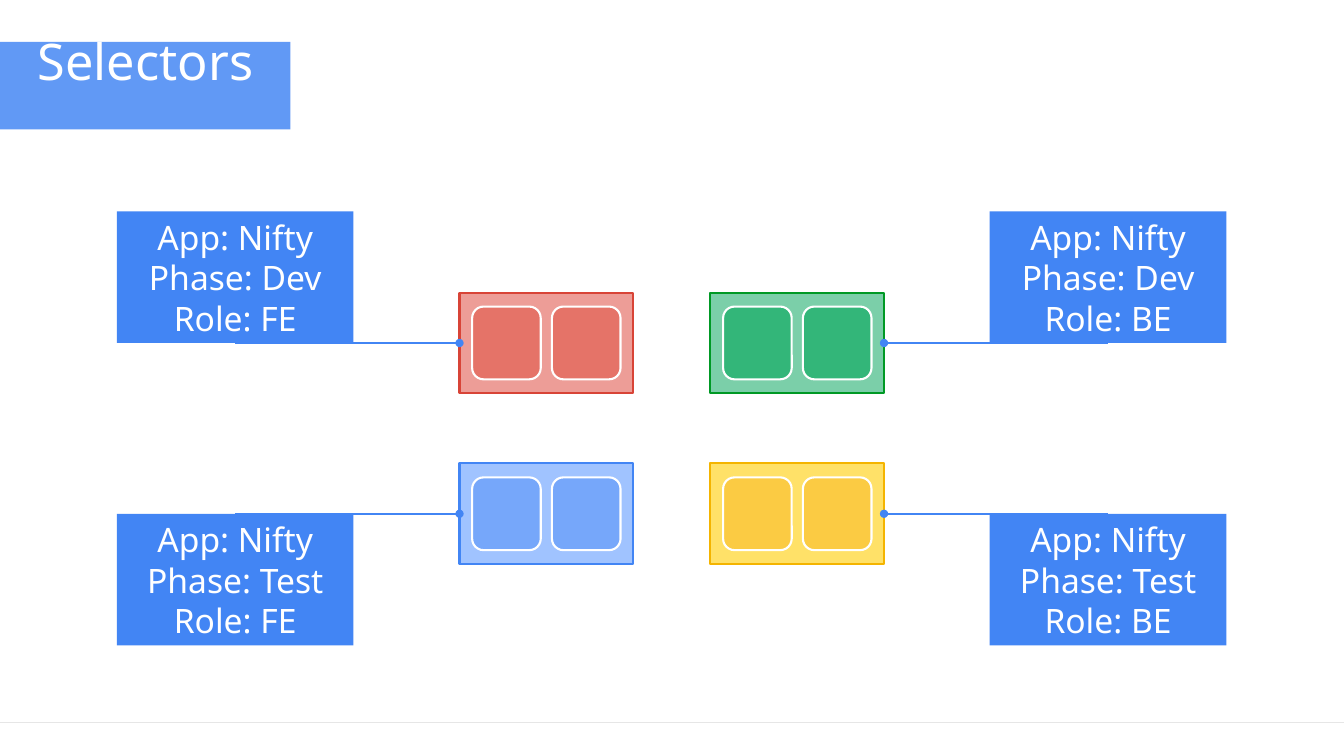
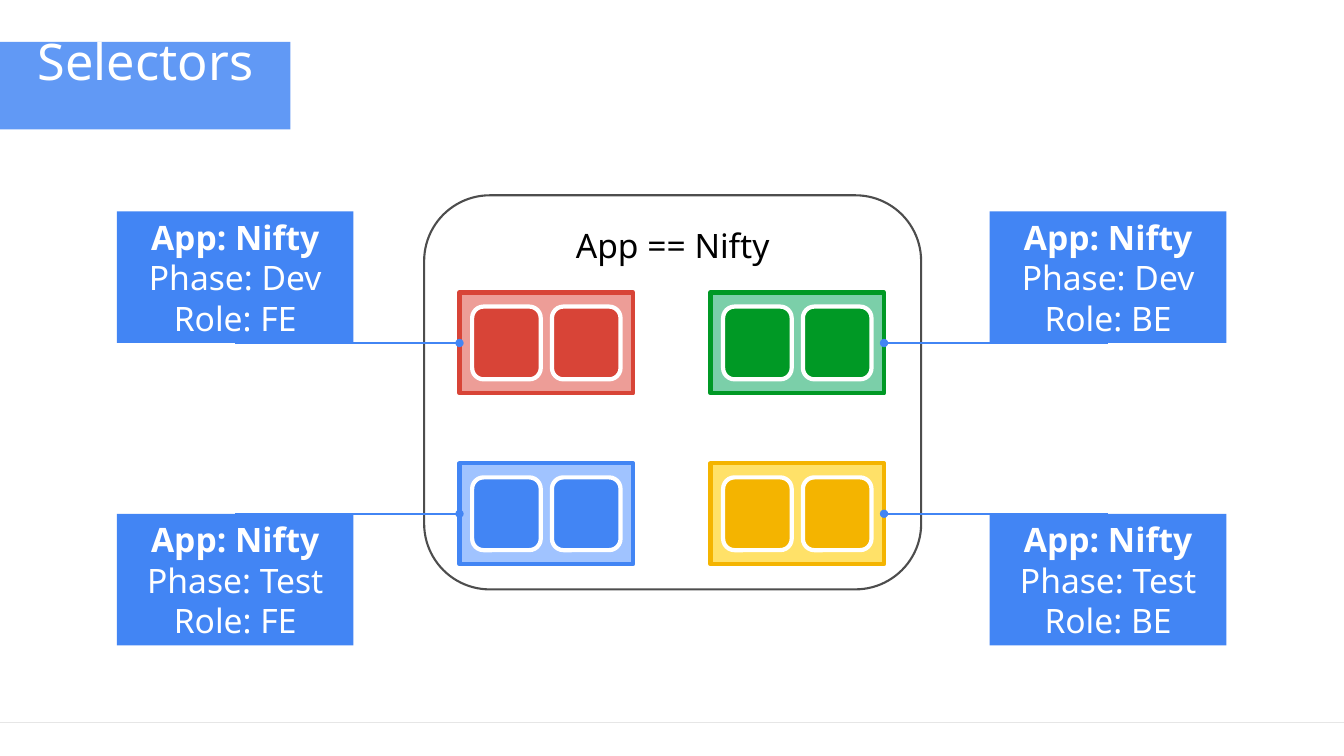
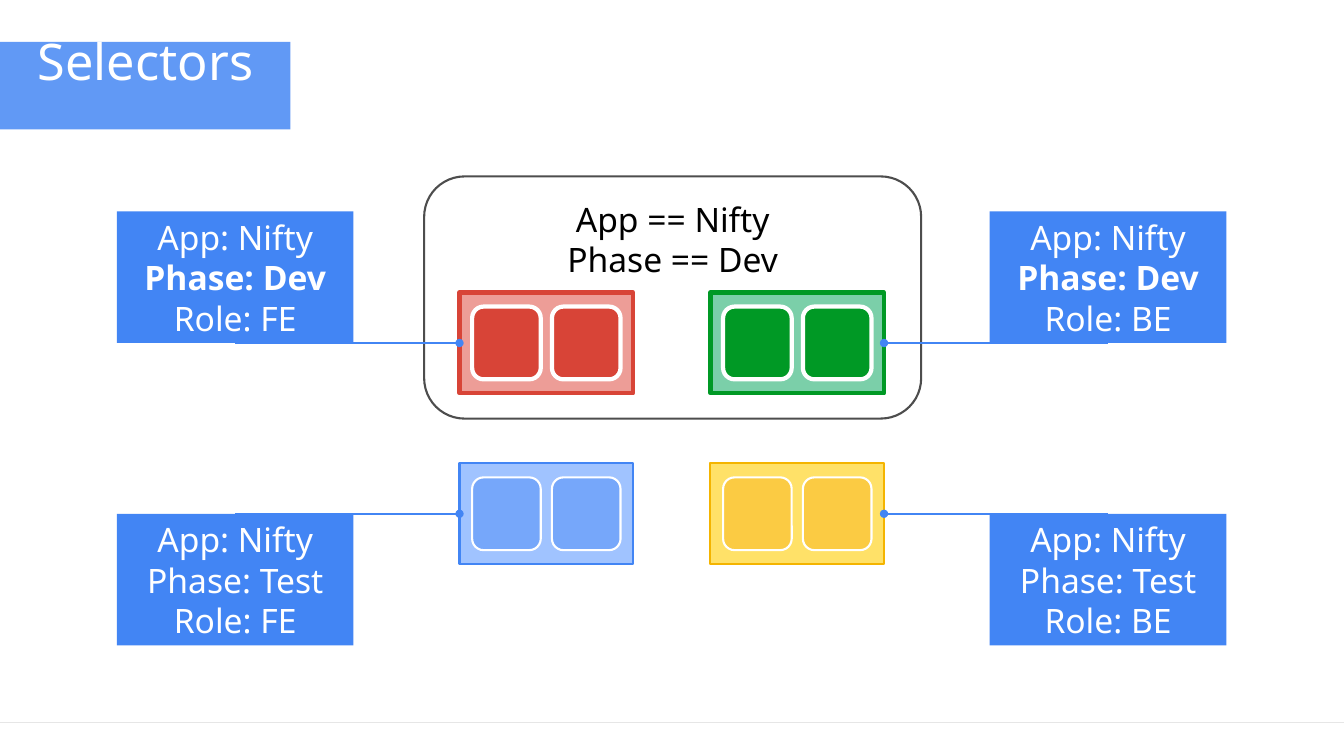
"""Build three slides on selecting services by their labels."""
from lxml.etree import SubElement
from pptx import Presentation
from pptx.dml.color import RGBColor
from pptx.enum.shapes import MSO_CONNECTOR, MSO_SHAPE
from pptx.enum.text import MSO_ANCHOR, MSO_AUTO_SIZE, PP_ALIGN
from pptx.oxml.ns import qn
from pptx.util import Pt

FONT = "Noto Sans"
COLORS = {"blue": "4285F4", "white": "FFFFFF", "black": "000000",
          "frame": "4D4D4D", "rule": "E6E6E6"}
TITLE = "Selectors"

SERVICES = [
    {"column": 0, "row": 0, "labels": {"App": "Nifty", "Phase": "Dev", "Role": "FE"},
     "back": "ED9D97", "strong": "D84437", "soft": "E57368"},
    {"column": 1, "row": 0, "labels": {"App": "Nifty", "Phase": "Dev", "Role": "BE"},
     "back": "7BCFA9", "strong": "009925", "soft": "33B679"},
    {"column": 0, "row": 1, "labels": {"App": "Nifty", "Phase": "Test", "Role": "FE"},
     "back": "A0C3FF", "strong": "4285F4", "soft": "76A7FA"},
    {"column": 1, "row": 1, "labels": {"App": "Nifty", "Phase": "Test", "Role": "BE"},
     "back": "FFE168", "strong": "F4B400", "soft": "FBCB43"},
]
SELECTORS = [
    {"clauses": {}},
    {"clauses": {"App": "Nifty"}, "top": 139.5, "height": 281.5},
    {"clauses": {"App": "Nifty", "Phase": "Dev"}, "top": 126, "height": 173},
]

SLIDE_W, SLIDE_H = 960, 540
RULE_Y = 516
BAND = (0, 30, 207.5, 62.5)
FRAME_X, FRAME_W = 303, 355
ROW_MIDDLES = (245, 367)
SERVICE_LEFTS, SERVICE_W, SERVICE_H = (328.25, 507.5), 124, 72
POD_W, POD_H, POD_STEP = 49, 52, 57
LABEL_LEFTS, LABEL_W, LABEL_H = (83.5, 707), 169, 94


def rgb(color):
    return RGBColor.from_string(color)


def add_box(shapes, kind, box, fill=None, line=None, width=1.5):
    shape = shapes.add_shape(kind, *map(Pt, box))
    shape.shadow.inherit = False
    if fill:
        shape.fill.solid()
        shape.fill.fore_color.rgb = rgb(fill)
    else:
        shape.fill.background()
    if line:
        shape.line.color.rgb = rgb(line)
        shape.line.width = Pt(width)
    else:
        shape.line.fill.background()
    return shape


def style_frame(frame, anchor, left, top, right, bottom):
    frame.word_wrap = True
    frame.auto_size = MSO_AUTO_SIZE.NONE
    frame.vertical_anchor = anchor
    frame.margin_left, frame.margin_top = Pt(left), Pt(top)
    frame.margin_right, frame.margin_bottom = Pt(right), Pt(bottom)


def write_lines(frame, lines, size, spacing, color, align):
    for index, (text, bold) in enumerate(lines):
        paragraph = frame.add_paragraph() if index else frame.paragraphs[0]
        paragraph.alignment = align
        paragraph.line_spacing = Pt(spacing)
        run = paragraph.add_run()
        run.text = text
        run.font.name, run.font.size, run.font.bold = FONT, Pt(size), bold
        run.font.color.rgb = rgb(color)


def add_line(slide, start, end, color, width):
    line = slide.shapes.add_connector(MSO_CONNECTOR.STRAIGHT, *map(Pt, start + end))
    line.line.color.rgb = rgb(color)
    line.line.width = Pt(width)
    SubElement(line.element.spPr, qn("a:effectLst"))
    return line


def add_title(slide):
    title = slide.shapes.title
    title.left, title.top, title.width, title.height = map(Pt, BAND)
    title.fill.solid()
    title.fill.fore_color.rgb = rgb(COLORS["blue"])
    fill_color = title.element.spPr.find(".//" + qn("a:srgbClr"))
    SubElement(fill_color, qn("a:alpha"), val="83000")
    style_frame(title.text_frame, MSO_ANCHOR.MIDDLE, 27, 5, 9, 41.5)
    write_lines(title.text_frame, [(TITLE, False)], 36, 43, COLORS["white"], PP_ALIGN.LEFT)


def add_selector(slide, selector):
    frame = add_box(slide.shapes, MSO_SHAPE.ROUNDED_RECTANGLE,
                    (FRAME_X, selector["top"], FRAME_W, selector["height"]),
                    line=COLORS["frame"])
    style_frame(frame.text_frame, MSO_ANCHOR.TOP, 7.2, 7.2, 7.2, 7.2)
    clauses = [(f"{key} == {value}", False) for key, value in selector["clauses"].items()]
    write_lines(frame.text_frame, clauses, 24, 29, COLORS["black"], PP_ALIGN.CENTER)


def add_service(slide, service, selected):
    left = SERVICE_LEFTS[service["column"]]
    middle = ROW_MIDDLES[service["row"]]
    width = 3 if selected else 1.5
    group = slide.shapes.add_group_shape()
    back = add_box(group.shapes, MSO_SHAPE.RECTANGLE,
                   (left, middle - SERVICE_H / 2, SERVICE_W, SERVICE_H),
                   service["back"], service["strong"], width)
    margin = (SERVICE_W - POD_STEP - POD_W) / 2
    for pod in range(2):
        add_box(group.shapes, MSO_SHAPE.ROUNDED_RECTANGLE,
                (left + margin + pod * POD_STEP, middle - POD_H / 2, POD_W, POD_H),
                service["strong" if selected else "soft"], COLORS["white"], width)
    return back


def add_label(slide, service, bold_key):
    top = ROW_MIDDLES[service["row"]] - (LABEL_H if service["row"] == 0 else 0)
    label = add_box(slide.shapes, MSO_SHAPE.RECTANGLE,
                    (LABEL_LEFTS[service["column"]], top, LABEL_W, LABEL_H), COLORS["blue"])
    style_frame(label.text_frame, MSO_ANCHOR.MIDDLE, 7.2, 7.2, 7.2, 7.2)
    lines = [(f"{key}: {value}", key == bold_key) for key, value in service["labels"].items()]
    write_lines(label.text_frame, lines, 24, 29, COLORS["white"], PP_ALIGN.CENTER)
    return label


def join(slide, service, back, label):
    link = add_line(slide, (0, 0), (0, 0), COLORS["blue"], 1.5)
    link.begin_connect(back, 1 if service["column"] == 0 else 3)
    link.end_connect(label, 2 if service["row"] == 0 else 0)
    SubElement(link.element.spPr.find(qn("a:ln")), qn("a:headEnd"), type="oval")


def add_selector_slide(deck, layout, selector):
    slide = deck.slides.add_slide(layout)
    add_title(slide)
    clauses = selector["clauses"]
    if clauses:
        add_selector(slide, selector)
    for service in SERVICES:
        selected = bool(clauses) and clauses.items() <= service["labels"].items()
        back = add_service(slide, service, selected)
        label = add_label(slide, service, list(clauses)[-1] if selected else None)
        join(slide, service, back, label)
    return slide


def main():
    deck = Presentation()
    deck.slide_width, deck.slide_height = Pt(SLIDE_W), Pt(SLIDE_H)
    layout = deck.slide_layouts[5]
    slides = [add_selector_slide(deck, layout, selector) for selector in SELECTORS]
    rule = add_line(slides[0], (SLIDE_W, RULE_Y), (0, RULE_Y), COLORS["rule"], 0.75)
    layout.shapes.element.append(rule.element)
    deck.save("out.pptx")


if __name__ == "__main__":
    main()
